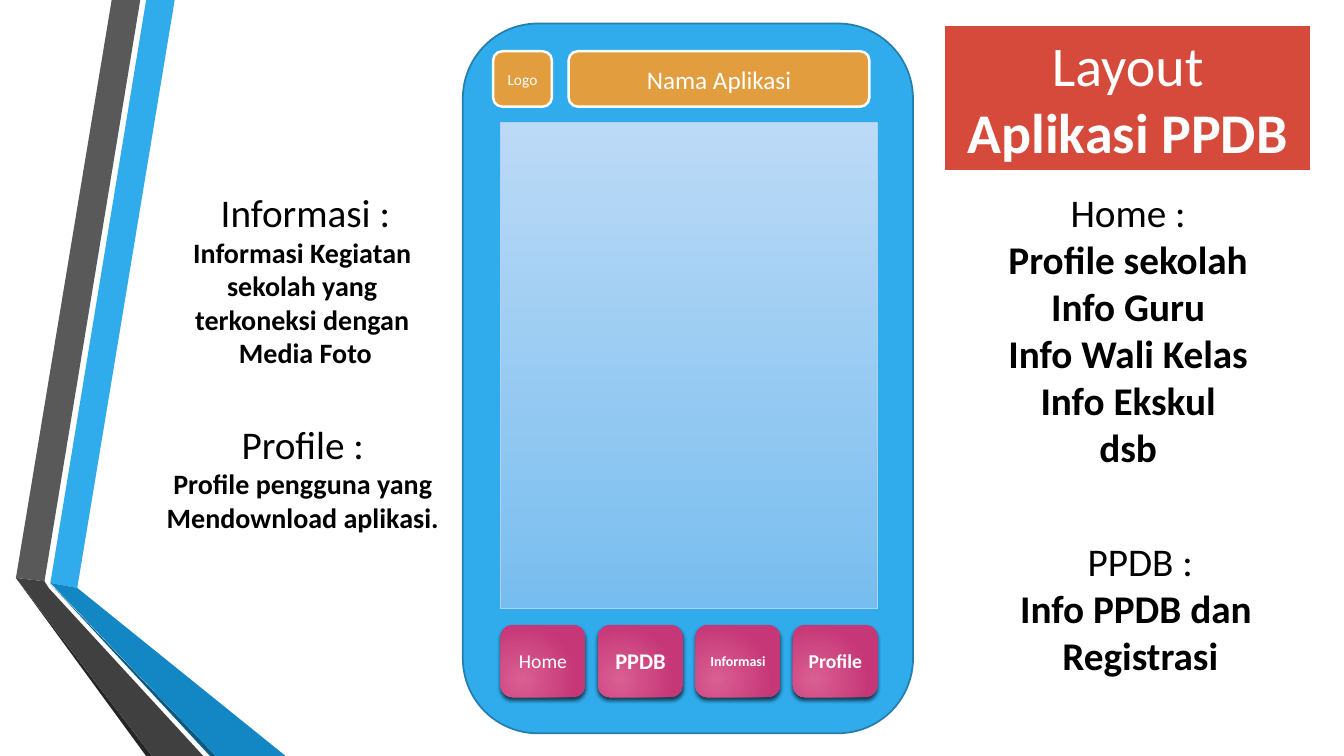
from dataclasses import dataclass

from lxml import etree
from pptx import Presentation
from pptx.dml.color import RGBColor
from pptx.enum.shapes import MSO_SHAPE
from pptx.enum.text import MSO_ANCHOR, MSO_AUTO_SIZE, PP_ALIGN
from pptx.oxml.ns import qn
from pptx.util import Inches, Pt

RECT, ROUNDED = MSO_SHAPE.RECTANGLE, MSO_SHAPE.ROUNDED_RECTANGLE
CENTER, MIDDLE, TOP = PP_ALIGN.CENTER, MSO_ANCHOR.MIDDLE, MSO_ANCHOR.TOP
GROW = MSO_AUTO_SIZE.SHAPE_TO_FIT_TEXT
FONT = "Calibri"

WHITE, BLACK = RGBColor(255, 255, 255), RGBColor(0, 0, 0)
BLUE, BLUE_EDGE = RGBColor(0x30, 0xAC, 0xEC), RGBColor(0x24, 0x7F, 0xAF)
BLUE_FOLD, BLUE_SHADE = RGBColor(0x12, 0x87, 0xC3), RGBColor(0x0C, 0x5A, 0x82)
GREY, GREY_FOLD = RGBColor(0x59, 0x59, 0x59), RGBColor(0x40, 0x40, 0x40)
GREY_SHADE = RGBColor(0x26, 0x26, 0x26)
ORANGE, RED = RGBColor(0xE2, 0x9D, 0x3E), RGBColor(0xD6, 0x4A, 0x3B)
SKY, SKY_DEEP = RGBColor(0xBC, 0xDA, 0xF6), RGBColor(0x78, 0xBD, 0xEF)
SKY_EDGE = RGBColor(0xAE, 0xD2, 0xF4)
PINK, PINK_DEEP = RGBColor(0xD9, 0x5F, 0x92), RGBColor(0xC6, 0x37, 0x77)

# Grid of 160 columns by 90 rows
prs = Presentation()
prs.slide_width, prs.slide_height = Inches(13.33), Inches(7.5)
COLUMN, ROW = prs.slide_width / 160, prs.slide_height / 90
slide = prs.slides.add_slide(prs.slide_layouts[6])


@dataclass(frozen=True)
class Box:
    col: float
    row: float
    cols: float
    rows: float

    def emu(self) -> tuple[int, ...]:
        return (round(self.col * COLUMN), round(self.row * ROW),
                round(self.cols * COLUMN), round(self.rows * ROW))


@dataclass(frozen=True)
class Line:
    text: str
    size: float
    bold: bool = False


@dataclass(frozen=True)
class Ribbon:
    color: RGBColor
    points: list[tuple[float, float]]


@dataclass(frozen=True)
class Note:
    box: Box
    heading: str
    details: list[str]
    size: float


@dataclass(frozen=True)
class MenuButton:
    text: str
    size: float
    bold: bool = True


def write(shape, lines: list[Line], color: RGBColor, anchor=MIDDLE, grow=False) -> None:
    frame = shape.text_frame
    frame.word_wrap = not grow
    frame.vertical_anchor = anchor
    if grow:
        frame.auto_size = GROW
    for index, line in enumerate(lines):
        paragraph = frame.add_paragraph() if index else frame.paragraphs[0]
        paragraph.text = line.text
        paragraph.alignment = CENTER
        font = paragraph.font
        font.name, font.size, font.bold = FONT, Pt(line.size), line.bold
        font.color.rgb = color


def add_panel(kind, box: Box, fill: RGBColor | None = None,
              edge: RGBColor | None = None, edge_width: float = 1.75):
    panel = slide.shapes.add_shape(kind, *box.emu())
    panel.shadow.inherit = False
    if fill is not None:
        panel.fill.solid()
        panel.fill.fore_color.rgb = fill
    if edge is None:
        panel.line.fill.background()
    else:
        panel.line.color.rgb = edge
        panel.line.width = Pt(edge_width)
    return panel


def shade(panel, start: RGBColor, end: RGBColor) -> None:
    panel.fill.gradient()
    panel.fill.gradient_angle = 270
    for stop, color in zip(panel.fill.gradient_stops, (start, end)):
        stop.color.rgb = color


def make_glossy(button) -> None:
    """Radial gradient and a soft shadow below."""
    shade(button, PINK, PINK_DEEP)
    properties = button.element.spPr
    gradient = properties.find(qn("a:gradFill"))
    gradient.remove(gradient.find(qn("a:lin")))
    radial = etree.SubElement(gradient, qn("a:path"), {"path": "circle"})
    etree.SubElement(radial, qn("a:fillToRect"),
                     {"l": "50000", "t": "100000", "r": "100000", "b": "50000"})
    shadow = etree.SubElement(
        properties.find(qn("a:effectLst")), qn("a:outerShdw"),
        {"blurRad": str(Pt(3)), "dist": str(Pt(2)), "dir": "5400000",
         "algn": "ctr", "rotWithShape": "0"})
    color = etree.SubElement(shadow, qn("a:srgbClr"), {"val": str(BLACK)})
    etree.SubElement(color, qn("a:alpha"), {"val": "64000"})


def add_ribbon(ribbon: Ribbon) -> None:
    corners = [(round(col * COLUMN), round(row * ROW)) for col, row in ribbon.points]
    builder = slide.shapes.build_freeform(*corners[0])
    builder.add_line_segments(corners[1:], close=True)
    band = builder.convert_to_shape()
    band.shadow.inherit = False
    band.fill.solid()
    band.fill.fore_color.rgb = ribbon.color
    band.line.fill.background()


def add_note(note: Note) -> None:
    lines = [Line(note.heading, 28)]
    lines += [Line(detail, note.size, True) for detail in note.details]
    write(slide.shapes.add_textbox(*note.box.emu()), lines, BLACK, TOP, grow=True)


# Folded ribbons on the left
RIBBONS = [
    Ribbon(BLUE, [(6, 69.4), (9.2, 70), (20.8, 0), (17.4, 0)]),
    Ribbon(GREY, [(16.7, 0), (13.3, 0), (1.9, 68.8), (5.3, 69.2)]),
    Ribbon(GREY_SHADE, [(1.9, 68.8), (17.4, 90), (18.1, 90)]),
    Ribbon(BLUE_SHADE, [(6, 69.5), (25, 90), (25.7, 90)]),
    Ribbon(BLUE_FOLD, [(6, 69.4), (25.7, 90), (34, 90), (9.2, 70)]),
    Ribbon(GREY_FOLD, [(24.2, 90), (5.8, 70), (5.3, 69.2), (1.9, 68.8), (18.1, 90)]),
]
for ribbon in RIBBONS:
    add_ribbon(ribbon)

# Phone body, header and screen
SCREEN = Box(59.6, 14.6, 44.9, 57.8)
add_panel(ROUNDED, Box(55.1, 2.8, 53.6, 84.5), BLUE, BLUE_EDGE, 1.25)
for header_box, header in [(Box(58.7, 6.1, 7, 6.6), Line("Logo", 11)),
                           (Box(67.7, 6.1, 35.8, 6.6), Line("Nama Aplikasi", 18))]:
    write(add_panel(ROUNDED, header_box, ORANGE, WHITE), [header], WHITE)
shade(add_panel(RECT, SCREEN, edge=SKY_EDGE, edge_width=0.75), SKY, SKY_DEEP)

# Menu buttons, spread evenly under the screen
MENU = [MenuButton("Home", 14, False), MenuButton("PPDB", 16),
        MenuButton("Informasi", 10), MenuButton("Profile", 14)]
BUTTON_COLS = 10.1
BUTTON_PITCH = (SCREEN.cols - BUTTON_COLS) / (len(MENU) - 1)
for index, item in enumerate(MENU):
    button = add_panel(ROUNDED, Box(SCREEN.col + index * BUTTON_PITCH, 74.4,
                                    BUTTON_COLS, 8.6))
    make_glossy(button)
    write(button, [Line(item.text, item.size, item.bold)], WHITE)

# Title
title = add_panel(RECT, Box(112.4, 3, 43.7, 17.4), RED, WHITE)
write(title, [Line("Layout", 40), Line("Aplikasi PPDB", 40, True)], WHITE, TOP, grow=True)

# Explanations beside the phone
NOTES = [
    Note(Box(118.1, 21.8, 32.4, 35.2), "Home :",
         ["Profile sekolah", "Info Guru", "Info Wali Kelas\vInfo Ekskul", "dsb"], 28),
    Note(Box(119.3, 63.4, 32.9, 18.1), "PPDB :", ["Info PPDB dan ", "Registrasi"], 28),
    Note(Box(21, 21.8, 30.7, 23), "Informasi :",
         ["Informasi Kegiatan ", "sekolah yang ", "terkoneksi dengan ", "Media Foto"], 20),
    Note(Box(18.1, 49.4, 35.9, 19), "Profile :",
         ["Profile pengguna yang", "Mendownload aplikasi."], 20),
]
for note in NOTES:
    add_note(note)

prs.save("out.pptx")
